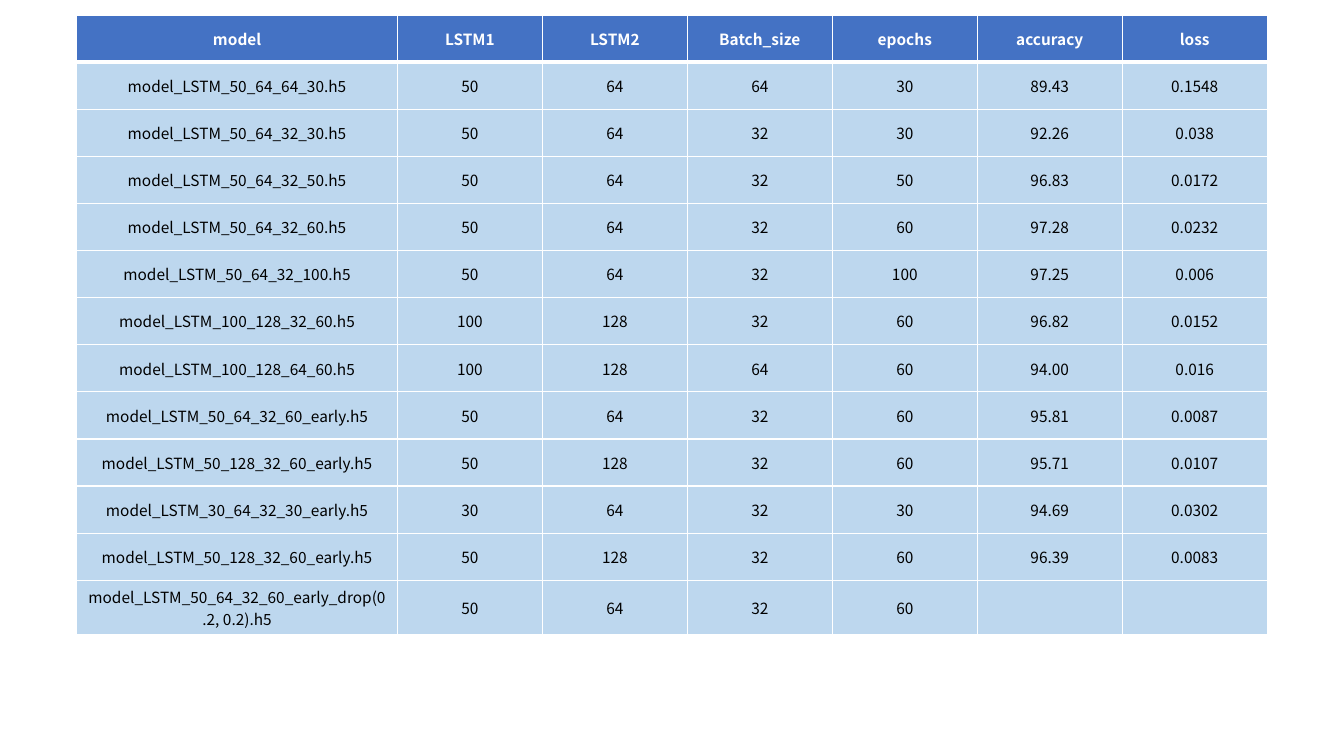
import pptx
import pptx.util
import pptx.dml.color
import pptx.enum.text
import pptx.oxml

Pt = pptx.util.Pt
RGB = pptx.dml.color.RGBColor
WHITE = RGB(0xFF, 0xFF, 0xFF)
BLACK = RGB(0, 0, 0)
BLUE = RGB(0x44, 0x72, 0xC4)
PALE = RGB(0xBD, 0xD7, 0xEE)
NS = "http://schemas.openxmlformats.org/drawingml/2006/main"

HEAD = ["model", "LSTM1", "LSTM2", "Batch_size", "epochs", "accuracy", "loss"]
RUNS = [
    ["model_LSTM_50_64_64_30.h5", "50", "64", "64", "30", "89.43", "0.1548"],
    ["model_LSTM_50_64_32_30.h5", "50", "64", "32", "30", "92.26", "0.038"],
    ["model_LSTM_50_64_32_50.h5", "50", "64", "32", "50", "96.83", "0.0172"],
    ["model_LSTM_50_64_32_60.h5", "50", "64", "32", "60", "97.28", "0.0232"],
    ["model_LSTM_50_64_32_100.h5", "50", "64", "32", "100", "97.25", "0.006"],
    ["model_LSTM_100_128_32_60.h5", "100", "128", "32", "60", "96.82", "0.0152"],
    ["model_LSTM_100_128_64_60.h5", "100", "128", "64", "60", "94.00", "0.016"],
    ["model_LSTM_50_64_32_60_early.h5", "50", "64", "32", "60", "95.81", "0.0087"],
    ["model_LSTM_50_128_32_60_early.h5", "50", "128", "32", "60", "95.71", "0.0107"],
    ["model_LSTM_30_64_32_30_early.h5", "30", "64", "32", "30", "94.69", "0.0302"],
    ["model_LSTM_50_128_32_60_early.h5", "50", "128", "32", "60", "96.39", "0.0083"],
    ["model_LSTM_50_64_32_60_early_drop(0.2, 0.2).h5", "50", "64", "32", "60", "", ""],
]


def write(frame, text, font, size, color, bold=False):
    para = frame.paragraphs[0]
    para.alignment = pptx.enum.text.PP_ALIGN.CENTER
    if text:
        run = para.add_run()
        run.text = text
        run.font.name = font
        run.font.size = Pt(size)
        run.font.bold = bold
        run.font.color.rgb = color


class Page:
    font = "Noto Sans CJK KR"
    size = 11
    rule = WHITE

    def __init__(self, slide):
        self.slide = slide

    def edge(self, cell, **widths):
        """Draw cell borders; call before the fill, which must follow them."""
        props = cell._tc.get_or_add_tcPr()
        for side, width in widths.items():
            props.append(pptx.oxml.parse_xml(
                f'<a:ln{side} xmlns:a="{NS}" w="{Pt(width)}"><a:solidFill>'
                f'<a:srgbClr val="{self.rule}"/></a:solidFill></a:ln{side}>'))

    def cell(self, cell, text, fill, color, bold, top, base):
        self.edge(cell, L=1, R=1, T=top, B=base)
        cell.fill.solid()
        cell.fill.fore_color.rgb = fill
        cell.vertical_anchor = pptx.enum.text.MSO_ANCHOR.MIDDLE
        write(cell.text_frame, text, self.font, self.size, color, bold)

    def table(self, rows, left, top, widths, high):
        grid = self.slide.shapes.add_table(
            len(rows), len(widths), Pt(left), Pt(top),
            Pt(sum(widths)), Pt(high * len(rows))).table
        for col, width in zip(grid.columns, widths):
            col.width = Pt(width)
        for r, row in enumerate(rows):
            grid.rows[r].height = Pt(high)
            if r == 0:
                look = dict(fill=BLUE, color=WHITE, bold=True, top=1, base=3)
            else:
                look = dict(fill=PALE, color=BLACK, bold=False,
                            top=3 if r == 1 else 1, base=1)
            for c, text in enumerate(row):
                self.cell(grid.cell(r, c), text, **look)


def main():
    deck = pptx.Presentation()
    deck.slide_width, deck.slide_height = Pt(960), Pt(540)
    page = Page(deck.slides.add_slide(deck.slide_layouts[6]))
    page.table([HEAD] + RUNS, 54.9, 10.7, [229] + [103.55] * 6, 33.65)
    deck.save("out.pptx")


if __name__ == "__main__":
    main()
